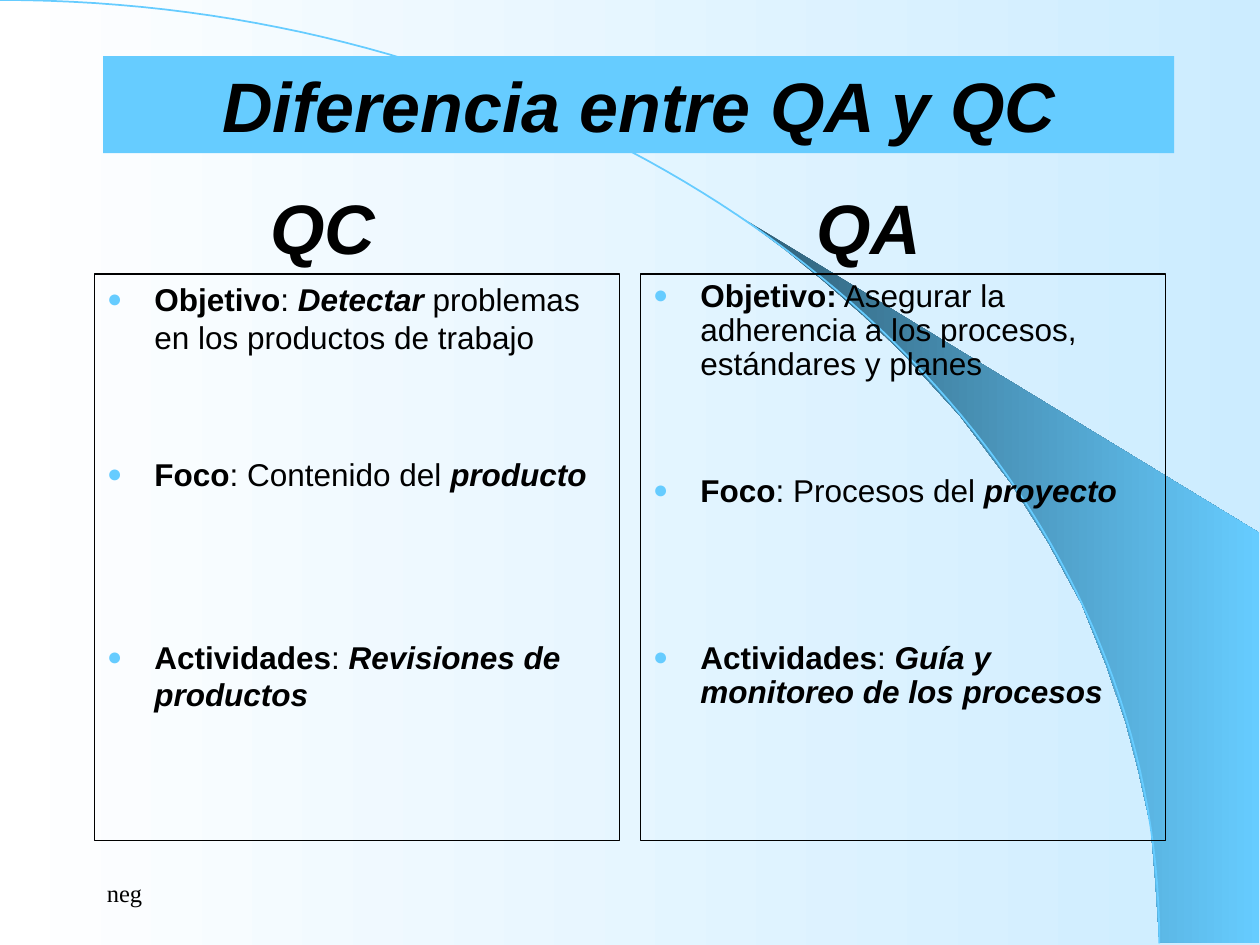
from lxml import etree
from pptx import Presentation
from pptx.dml.color import RGBColor
from pptx.enum import text as tx
from pptx.oxml import ns
from pptx.util import Pt

BLACK = RGBColor(0, 0, 0)
WHITE = RGBColor(0xFF, 0xFF, 0xFF)
PALE = RGBColor(0xCC, 0xEC, 0xFF)
SKY = RGBColor(0x66, 0xCC, 0xFF)
DEEP = RGBColor(0x2F, 0x5E, 0x76)

TITLE = "Diferencia entre QA y QC"
FOOT = "neg"
# Each run is (text, style): b for bold, i for italic
PANELS = [
    dict(head="QC", left=54, lines=1.0, gaps=[0, 56.5, 83], items=[
        [("Objetivo", "b"), (": ", ""), ("Detectar ", "bi"),
         ("problemas en los productos de trabajo", "")],
        [("Foco", "b"), (": Contenido del ", ""), ("producto", "bi")],
        [("Actividades", "b"), (": ", ""), ("Revisiones de productos", "bi")],
    ]),
    dict(head="QA", left=366, lines=0.9, gaps=[0, 53, 76], items=[
        [("Objetivo:", "b"),
         (" Asegurar la adherencia a los procesos, estándares y planes", "")],
        [("Foco", "b"), (": Procesos del ", ""), ("proyecto", "bi")],
        [("Actividades", "b"), (": ", ""),
         ("Guía y monitoreo de los procesos", "bi")],
    ]),
]
TOP, WIDE, HIGH = 156.5, 300, 324
BLADE = [(662.5, 538.5), (719.5, 539), (719.5, 304.5), (424, 124.5),
         (449, 143), (470, 160), (493, 180), (515.5, 201.5), (548.5, 237.5),
         (578, 276.5), (599, 310), (618, 345), (632, 380), (643, 412),
         (650, 438.5), (657.5, 472), (660, 501)]
ARC = [(0, 0), (366, 0), (662.5, 241), (662.5, 539)]
STEPS = 80


def bezier(pts, t):
    s = 1 - t
    mix = (s ** 3, 3 * s * s * t, 3 * s * t * t, t ** 3)
    return tuple(sum(m * p[k] for m, p in zip(mix, pts)) for k in (0, 1))


def blend(fill, start, end):
    fill.gradient()
    fill.gradient_angle = 0
    for stop, tone, pos in zip(fill.gradient_stops, (start, end), (0, 1)):
        stop.color.rgb = tone
        stop.position = pos


def outline(pts, close):
    pts = [(round(x * 100), round(y * 100)) for x, y in pts]
    pen = slide.shapes.build_freeform(*pts[0], scale=Pt(1) / 100)
    pen.add_line_segments(pts[1:], close=close)
    shape = pen.convert_to_shape()
    shape.shadow.inherit = False
    return shape


def place(shape, x, y, w, h):
    vals = dict(left=x, top=y, width=w, height=h)
    for name, val in vals.items():
        setattr(shape, name, Pt(val))


def setup(frame, **opts):
    base = dict(margin_left=Pt(7.2), margin_right=Pt(7.2),
                margin_top=Pt(3.6), margin_bottom=Pt(3.6),
                auto_size=tx.MSO_AUTO_SIZE.NONE, word_wrap=True)
    for name, val in {**base, **opts}.items():
        setattr(frame, name, val)


def write(para, words, size, style="", face="Arial"):
    run = para.add_run()
    run.text = words
    vals = dict(name=face, size=Pt(size), bold="b" in style,
                italic="i" in style)
    for name, val in vals.items():
        setattr(run.font, name, val)
    run.font.color.rgb = BLACK


def bullet(para):
    props = para._p.get_or_add_pPr()
    props.set("marL", str(Pt(27)))
    props.set("indent", str(Pt(-27)))
    tint = etree.SubElement(props, ns.qn("a:buClr"))
    etree.SubElement(tint, ns.qn("a:srgbClr"), val=str(SKY))
    for tag, key, val in (("buSzPct", "val", "80000"),
                          ("buFont", "typeface", "Arial"),
                          ("buChar", "char", "●")):
        etree.SubElement(props, ns.qn("a:" + tag)).set(key, val)


def label(words, x, y, w, h, size, style="", face="Arial", align=None, **opts):
    box = slide.shapes.add_textbox(Pt(x), Pt(y), Pt(w), Pt(h))
    setup(box.text_frame, **opts)
    para = box.text_frame.paragraphs[0]
    para.alignment = align
    write(para, words, size, style, face)


def panel(body, data):
    place(body, data["left"], TOP, WIDE, HIGH)
    body.line.color.rgb = BLACK
    body.line.width = Pt(0.75)
    frame = body.text_frame
    setup(frame, vertical_anchor=tx.MSO_ANCHOR.TOP)
    for n, (runs, gap) in enumerate(zip(data["items"], data["gaps"])):
        para = frame.add_paragraph() if n else frame.paragraphs[0]
        bullet(para)
        para.line_spacing = data["lines"]
        para.space_before = Pt(gap)
        for words, style in runs:
            write(para, words, 18, style)
    label(data["head"], data["left"] + 93.5, 102, 74, 55.5, 40, "bi",
          align=tx.PP_ALIGN.CENTER, word_wrap=False)


deck = Presentation()
deck.slide_width, deck.slide_height = Pt(720), Pt(540)
slide = deck.slides.add_slide(deck.slide_layouts[3])
blend(slide.background.fill, WHITE, PALE)
title, *bodies = slide.placeholders

blade = outline(BLADE, True)
blend(blade.fill, DEEP, SKY)
blade.line.fill.background()
arc = outline([bezier(ARC, n / STEPS) for n in range(STEPS + 1)], False)
arc.fill.background()
arc.line.color.rgb = SKY
arc.line.width = Pt(1)
# Placeholders come first in the tree, so the decoration goes behind them
for n, shape in enumerate((blade, arc)):
    slide.shapes._spTree.insert(2 + n, shape._element)

place(title, 59, 32, 612, 55.5)
title.fill.solid()
title.fill.fore_color.rgb = SKY
setup(title.text_frame, vertical_anchor=tx.MSO_ANCHOR.MIDDLE)
head = title.text_frame.paragraphs[0]
head.alignment = tx.PP_ALIGN.CENTER
write(head, TITLE, 40, "bi")

for body, data in zip(bodies, PANELS):
    panel(body, data)
label(FOOT, 54, 492, 150, 36, 14, face="Times New Roman",
      vertical_anchor=tx.MSO_ANCHOR.MIDDLE)

deck.save("out.pptx")
